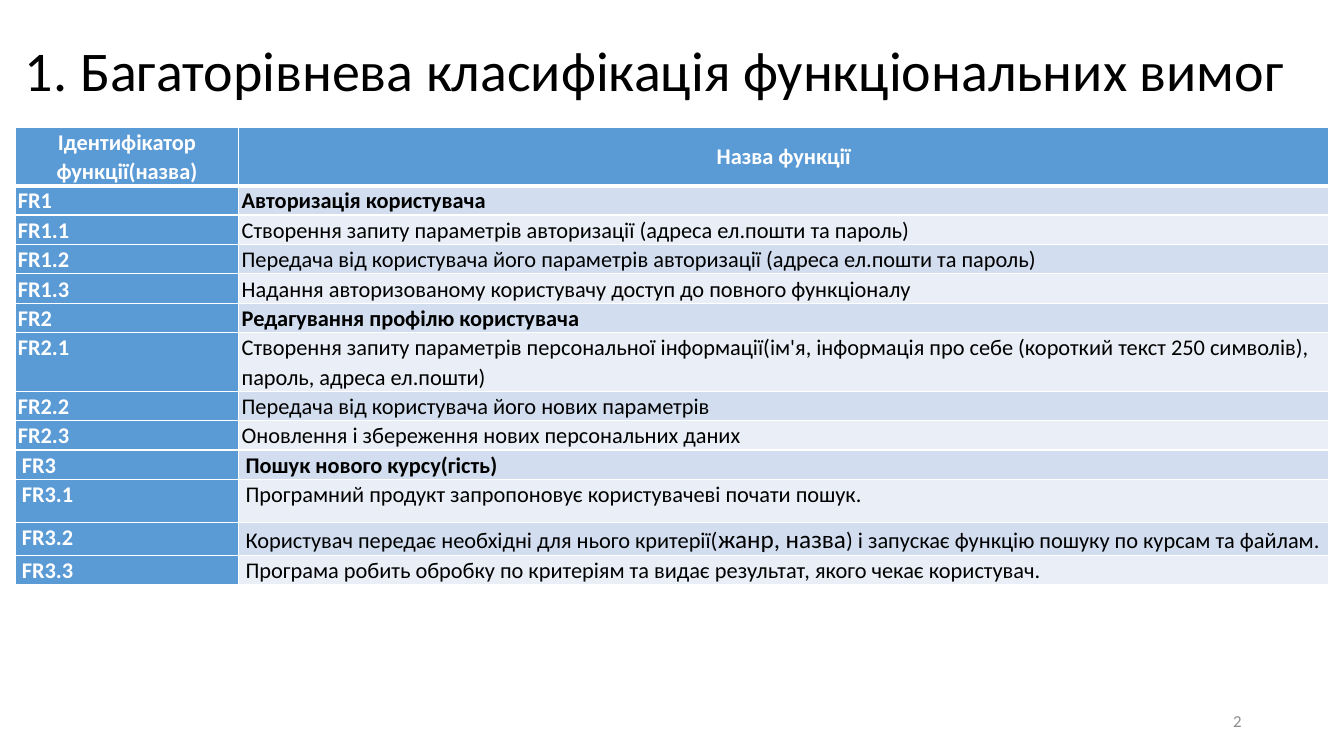
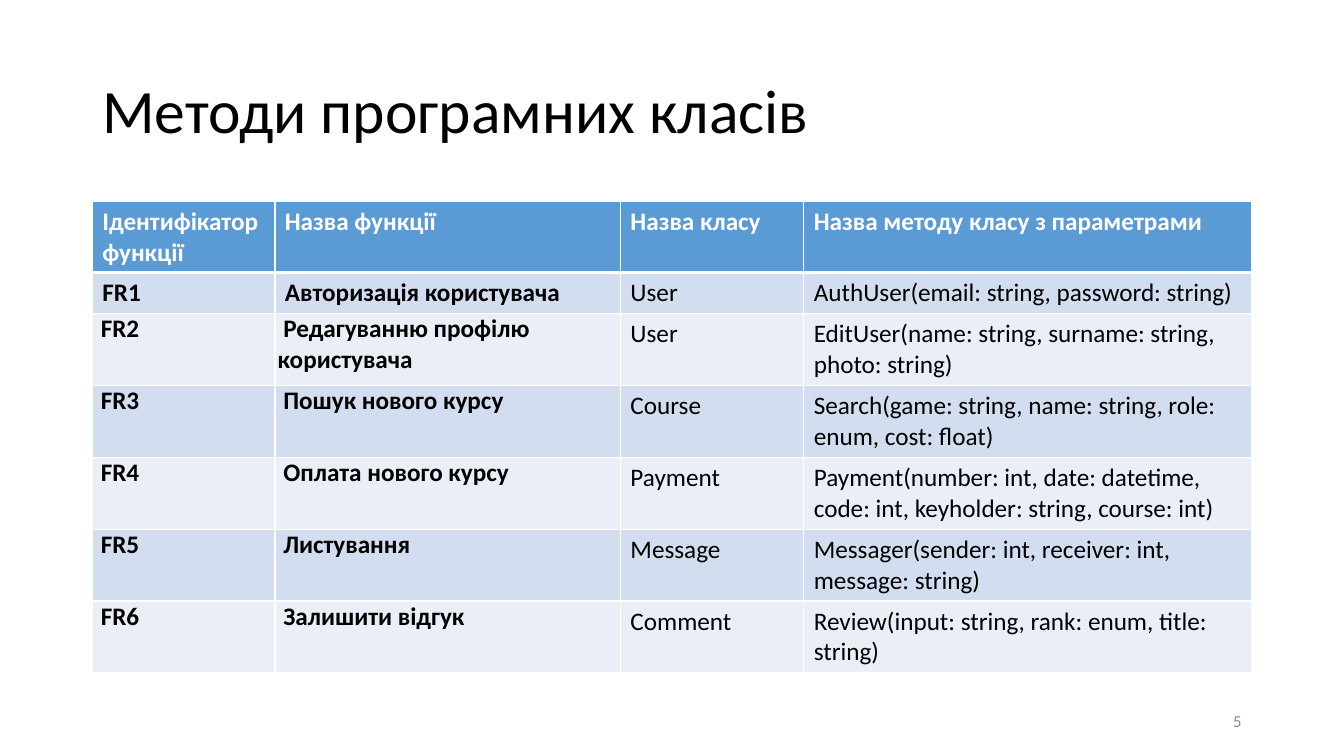
"""Builds two slides of requirement tables: functional requirements and class methods."""
from lxml import etree
from pptx import Presentation
from pptx import util as u
from pptx.dml import color
from pptx.enum import text as t
from pptx.oxml import ns

FONT = "Calibri"
COLOURS = {
    "header": "5B9BD5",
    "band_dark": "D2DEEF",
    "band_light": "EAEFF7",
    "ink": "000000",
    "white": "FFFFFF",
    "page_number": "8C8C8C",
}
TIGHT = (0.07, 0)
INDENTED = (0.17, 0)
ROOMY = (0.25, 0.13)

REQUIREMENTS = [
    ("Ідентифікатор функції(назва)", "Назва функції"),
    ("FR1", "Авторизація користувача"),
    ("FR1.1", "Створення запиту параметрів авторизації (адреса ел.пошти та пароль)"),
    ("FR1.2", "Передача від користувача його параметрів авторизації (адреса ел.пошти та пароль)"),
    ("FR1.3", "Надання авторизованому користувачу доступ до повного функціоналу"),
    ("FR2", "Редагування профілю користувача"),
    ("FR2.1", "Створення запиту параметрів персональної інформації(ім'я, інформація про себе "
              "(короткий текст 250 символів), пароль, адреса ел.пошти)"),
    ("FR2.2", "Передача від користувача його нових параметрів"),
    ("FR2.3", "Оновлення і збереження нових персональних даних"),
    ("FR3", "Пошук нового курсу(гість)"),
    ("FR3.1", "Програмний продукт запропоновує користувачеві почати пошук."),
    ("FR3.2", [("Користувач передає необхідні для нього критерії(", 16), ("жанр, назва", 18),
               (") і запускає функцію пошуку по курсам та файлам.", 16)]),
    ("FR3.3", "Програма робить обробку по критеріям та видає результат, якого чекає користувач."),
]
REQUIREMENT_HEIGHTS = {"FR2.1": 1.48, "FR3.1": 1.09, "FR3.2": 0.83}

METHODS = [
    ("Ідентифікатор функції", "Назва функції", "Назва класу", "Назва методу класу з параметрами"),
    ("FR1", "Авторизація користувача", "User", "AuthUser(email: string, password: string)"),
    ("FR2", "Редагуванню профілю користувача", "User",
     "EditUser(name: string, surname: string, photo: string)"),
    ("FR3", "Пошук нового курсу", "Course",
     "Search(game: string, name: string, role: enum, cost: float)"),
    ("FR4", "Оплата нового курсу", "Payment",
     "Payment(number: int, date: datetime, code: int, keyholder: string, course: int)"),
    ("FR5", "Листування", "Message", "Messager(sender: int, receiver: int, message: string)"),
    ("FR6", "Залишити відгук", "Comment", "Review(input: string, rank: enum, title: string)"),
]


def rgb(name):
    return color.RGBColor.from_string(COLOURS[name])


def style_font(font, size, colour, bold=False):
    font.name = FONT
    font.size = u.Pt(size)
    font.bold = bold
    font.color.rgb = rgb(colour)


def add_line(slide, box, content, size, colour, align=t.PP_ALIGN.LEFT, spacing=1.0):
    frame = slide.shapes.add_textbox(*map(u.Cm, box)).text_frame
    frame.word_wrap = True
    frame.vertical_anchor = t.MSO_ANCHOR.MIDDLE
    line = frame.paragraphs[0]
    line.text = content
    line.alignment = align
    line.line_spacing = spacing
    style_font(line.font, size, colour)


def add_title(slide, box, content, size):
    add_line(slide, box, content, size, "ink", spacing=0.9)


def add_page_number(slide, number):
    add_line(slide, (23.92, 17.65, 7.62, 1.02), number, 12, "page_number", t.PP_ALIGN.RIGHT)


def set_borders(cell, top=1, bottom=1):
    properties = cell._tc.get_or_add_tcPr()
    widths = {"lnL": 1, "lnR": 1, "lnT": top, "lnB": bottom}
    for place, (side, width) in enumerate(widths.items()):
        border = etree.Element(ns.qn(f"a:{side}"), w=str(u.Pt(width)))
        fill = etree.SubElement(border, ns.qn("a:solidFill"))
        etree.SubElement(fill, ns.qn("a:srgbClr"), val=COLOURS["white"])
        properties.insert(place, border)


def fill_cell(cell, content, size, colour, bold, fill, insets, spacing):
    cell.fill.solid()
    cell.fill.fore_color.rgb = rgb(fill)
    cell.margin_left = cell.margin_right = u.Cm(insets[0])
    cell.margin_top = cell.margin_bottom = u.Cm(insets[1])
    line = cell.text_frame.paragraphs[0]
    line.line_spacing = spacing
    style_font(line.font, size, colour, bold)
    if isinstance(content, str):
        line.text = content
        return
    for words, words_size in content:
        run = line.add_run()
        run.text = words
        run.font.size = u.Pt(words_size)


def add_grid(slide, corner, widths, heights, rows, size, look, spacing=1.0):
    """Add a banded table; look(row, column, key) gives body colour, bold, fill and insets."""
    grid = slide.shapes.add_table(len(rows), len(widths), *map(u.Cm, corner),
                                  u.Cm(sum(widths)), u.Cm(sum(heights))).table
    for column, width in zip(grid.columns, widths):
        column.width = u.Cm(width)
    for row, height in zip(grid.rows, heights):
        row.height = u.Cm(height)
    for r, row in enumerate(rows):
        band = "band_dark" if r % 2 else "band_light"
        for c, content in enumerate(row):
            cell = grid.cell(r, c)
            colour, bold, fill, insets = look(r, c, row[0])
            fill_cell(cell, content, size, colour, bold, fill or band, insets, spacing)
            set_borders(cell, top=3 if r == 1 else 1, bottom=3 if r == 0 else 1)
    return grid


def requirement_look(r, c, key):
    insets = INDENTED if key.startswith("FR3") else TIGHT
    if r == 0 or c == 0:
        return "white", True, "header", insets
    return "ink", "." not in key, None, insets


def method_look(r, c, key):
    if r == 0:
        return "white", True, "header", ROOMY
    return "ink", c < 2, None, TIGHT if r > 1 and c < 2 else ROOMY


def add_requirements(deck):
    slide = deck.slides.add_slide(deck.slide_layouts[6])
    add_title(slide, (0.38, 0, 33.1, 3.68), "1. Багаторівнева класифікація функціональних вимог", 40)
    heights = [1.48] + [REQUIREMENT_HEIGHTS.get(key, 0.74) for key, _ in REQUIREMENTS[1:]]
    grid = add_grid(slide, (0.38, 3.2), (5.64, 27.46), heights, REQUIREMENTS, 16,
                    requirement_look, spacing=1.07)
    for heading in grid.rows[0].cells:
        heading.vertical_anchor = t.MSO_ANCHOR.MIDDLE
        heading.text_frame.paragraphs[0].alignment = t.PP_ALIGN.CENTER
    add_page_number(slide, "2")


def add_methods(deck):
    slide = deck.slides.add_slide(deck.slide_layouts[6])
    add_title(slide, (2.33, 1.02, 29.21, 3.68), "Методи програмних класів", 44)
    heights = [1.78, 1.04] + [1.81] * (len(METHODS) - 2)
    grid = add_grid(slide, (2.33, 5.08), (4.6, 8.71, 4.62, 11.28), heights, METHODS, 18, method_look)
    for r in range(2, len(METHODS)):
        for c in range(2):
            line = grid.cell(r, c).text_frame.paragraphs[0]
            line._p.get_or_add_pPr().set("indent", str(u.Cm(0.14)))
    add_page_number(slide, "5")


def main():
    deck = Presentation()
    deck.slide_width = u.Cm(33.87)
    deck.slide_height = u.Cm(19.05)
    add_requirements(deck)
    add_methods(deck)
    deck.save("out.pptx")


if __name__ == "__main__":
    main()
